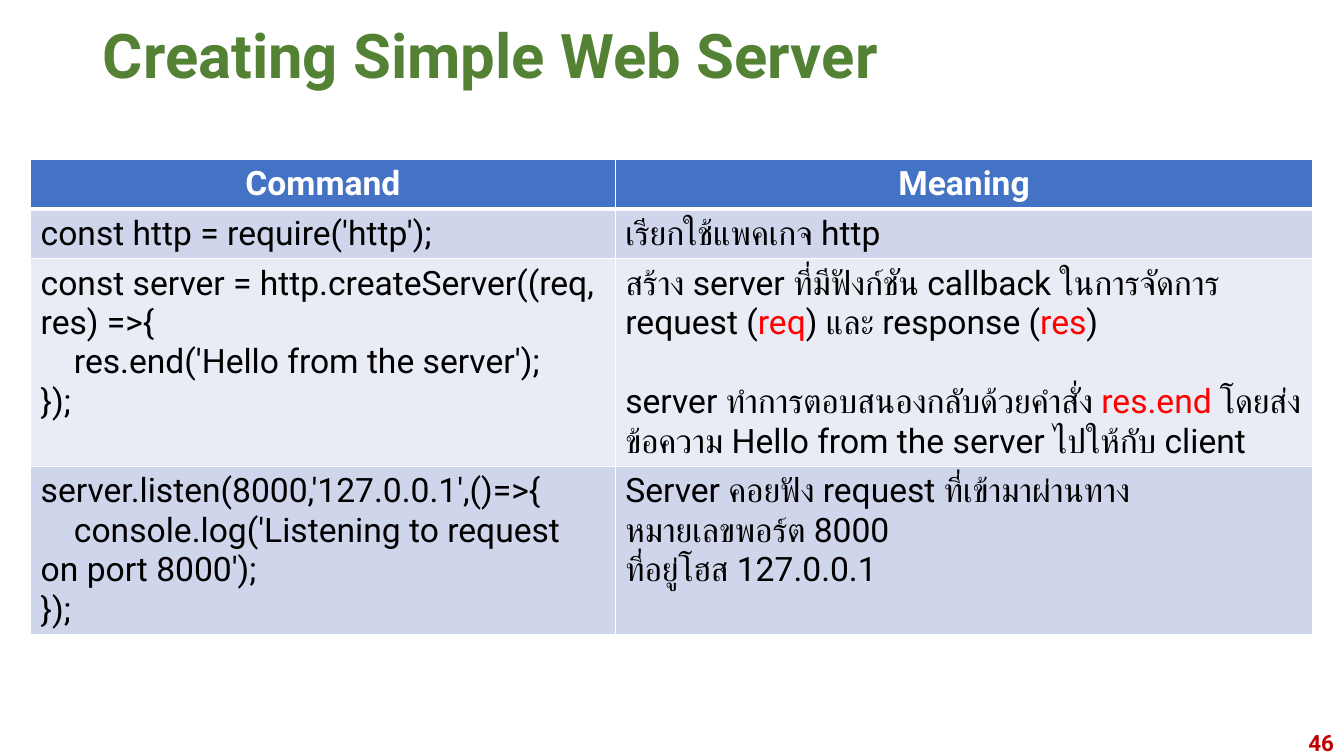
from dataclasses import dataclass

from lxml.etree import SubElement
from pptx import Presentation
from pptx.dml.color import RGBColor
from pptx.enum.text import MSO_ANCHOR, PP_ALIGN
from pptx.oxml.ns import qn
from pptx.util import Inches, Pt

SLIDE_WIDTH, SLIDE_HEIGHT = Inches(13.33), Inches(7.5)


@dataclass(frozen=True)
class Theme:
    font: str = "Roboto"
    title_size: int = 44
    table_size: int = 24
    number_size: int = 16
    title: str = "548235"
    number: str = "C00000"
    heading: str = "FFFFFF"
    body: str = "000000"
    keyword: str = "FF0000"
    header_fill: str = "4472C4"
    band_fills: tuple = ("CFD5EA", "E9EBF5")
    border: str = "FFFFFF"
    border_width: int = 1
    header_rule: int = 3


@dataclass(frozen=True)
class Line:
    """One paragraph; text between bars is a highlighted keyword."""
    text: str
    indent: float = 0
    space_before: float = 0


THEME = Theme()
CODE_INDENT = 0.33
SECTION_GAP = 28.4

COLUMN_SHARES = (5.8 / 12.72, 6.92 / 12.72)
ROW_HEIGHTS = (0.48, 0.49, 2.06, 1.65)
HEADINGS = ("Command", "Meaning")
COMMANDS = [
    ([Line("const http = require('http');")],
     [Line("เรียกใช้แพคเกจ http")]),
    ([Line("const server = http.createServer((req, res) =>{"),
      Line("res.end('Hello from the server');", indent=CODE_INDENT),
      Line("});")],
     [Line("สร้าง server ที่มีฟังก์ชัน callback ในการจัดการ request (|req|) และ response (|res|)"),
      Line("server ทำการตอบสนองกลับด้วยคำสั่ง |res.end |โดยส่งข้อความ Hello from the server ไปให้กับ client",
           space_before=SECTION_GAP)]),
    ([Line("server.listen(8000,'127.0.0.1',()=>{"),
      Line("console.log('Listening to request on port 8000');", indent=CODE_INDENT),
      Line("});")],
     [Line("Server คอยฟัง request ที่เข้ามาผ่านทาง"),
      Line("หมายเลขพอร์ต 8000"),
      Line("ที่อยู่โฮส 127.0.0.1")]),
]


def place(shape, left, top, width, height):
    """Position a shape by shares of the slide's size."""
    shape.left, shape.width = int(left * SLIDE_WIDTH), int(width * SLIDE_WIDTH)
    shape.top, shape.height = int(top * SLIDE_HEIGHT), int(height * SLIDE_HEIGHT)


def style_run(run, size, color, bold=False):
    run.font.size = Pt(size)
    run.font.bold = bold
    run.font.color.rgb = RGBColor.from_string(color)
    run.font.name = THEME.font
    # Thai letters take their font from the complex-script setting.
    SubElement(run.font._element, qn("a:cs"), typeface=THEME.font)


def style_label(frame, text, size, color, align):
    """Fill a frame with one bold, vertically centred line."""
    frame.text = text
    frame.word_wrap = True
    frame.vertical_anchor = MSO_ANCHOR.MIDDLE
    label = frame.paragraphs[0]
    label.alignment = align
    style_run(label.runs[0], size, color, bold=True)
    return label


def add_title(slide, text):
    place(slide.shapes.title, 0.069, 0.02, 0.863, 0.115)
    label = style_label(slide.shapes.title.text_frame, text,
                        THEME.title_size, THEME.title, PP_ALIGN.LEFT)
    label.line_spacing = 0.9


def add_slide_number(slide, number):
    box = slide.shapes.add_textbox(0, 0, 0, 0)
    place(box, 0.775, 0.964, 0.225, 0.036)
    style_label(box.text_frame, str(number), THEME.number_size,
                THEME.number, PP_ALIGN.RIGHT)


def write_lines(frame, lines):
    for index, line in enumerate(lines):
        paragraph = frame.add_paragraph() if index else frame.paragraphs[0]
        paragraph.space_before = Pt(line.space_before)
        if line.indent:
            properties = paragraph._p.get_or_add_pPr()
            properties.set("marL", "0")
            properties.set("indent", str(Inches(line.indent)))
        for part, words in enumerate(line.text.split("|")):
            run = paragraph.add_run()
            run.text = words
            style_run(run, THEME.table_size, THEME.keyword if part % 2 else THEME.body)


def style_cell(cell, fill, top, bottom):
    """Draw the cell's borders, then its fill."""
    properties = cell._tc.get_or_add_tcPr()
    widths = {"L": THEME.border_width, "R": THEME.border_width, "T": top, "B": bottom}
    for side, width in widths.items():
        border = SubElement(properties, qn(f"a:ln{side}"), w=str(Pt(width)))
        SubElement(SubElement(border, qn("a:solidFill")), qn("a:srgbClr"), val=THEME.border)
    cell.fill.solid()
    cell.fill.fore_color.rgb = RGBColor.from_string(fill)


def add_command_table(slide):
    frame = slide.shapes.add_table(len(COMMANDS) + 1, len(HEADINGS), 0, 0, 0, 0)
    place(frame, 0.0228, 0.211, 0.954, sum(ROW_HEIGHTS) / 7.5)
    table = frame.table
    table_width = frame.width
    for column, share in zip(table.columns, COLUMN_SHARES):
        column.width = int(table_width * share)
    for row, height in zip(table.rows, ROW_HEIGHTS):
        row.height = Inches(height)

    for column, heading in enumerate(HEADINGS):
        cell = table.cell(0, column)
        style_cell(cell, THEME.header_fill, THEME.border_width, THEME.header_rule)
        style_label(cell.text_frame, heading, THEME.table_size,
                    THEME.heading, PP_ALIGN.CENTER)
        cell.vertical_anchor = MSO_ANCHOR.TOP

    for row, explanations in enumerate(COMMANDS, start=1):
        top = THEME.header_rule if row == 1 else THEME.border_width
        for column, lines in enumerate(explanations):
            cell = table.cell(row, column)
            style_cell(cell, THEME.band_fills[(row - 1) % 2], top, THEME.border_width)
            write_lines(cell.text_frame, lines)


def main():
    deck = Presentation()
    deck.slide_width, deck.slide_height = SLIDE_WIDTH, SLIDE_HEIGHT
    slide = deck.slides.add_slide(deck.slide_layouts.get_by_name("Title Only"))
    add_title(slide, "Creating Simple Web Server")
    add_command_table(slide)
    add_slide_number(slide, 46)
    deck.save("out.pptx")


if __name__ == "__main__":
    main()
